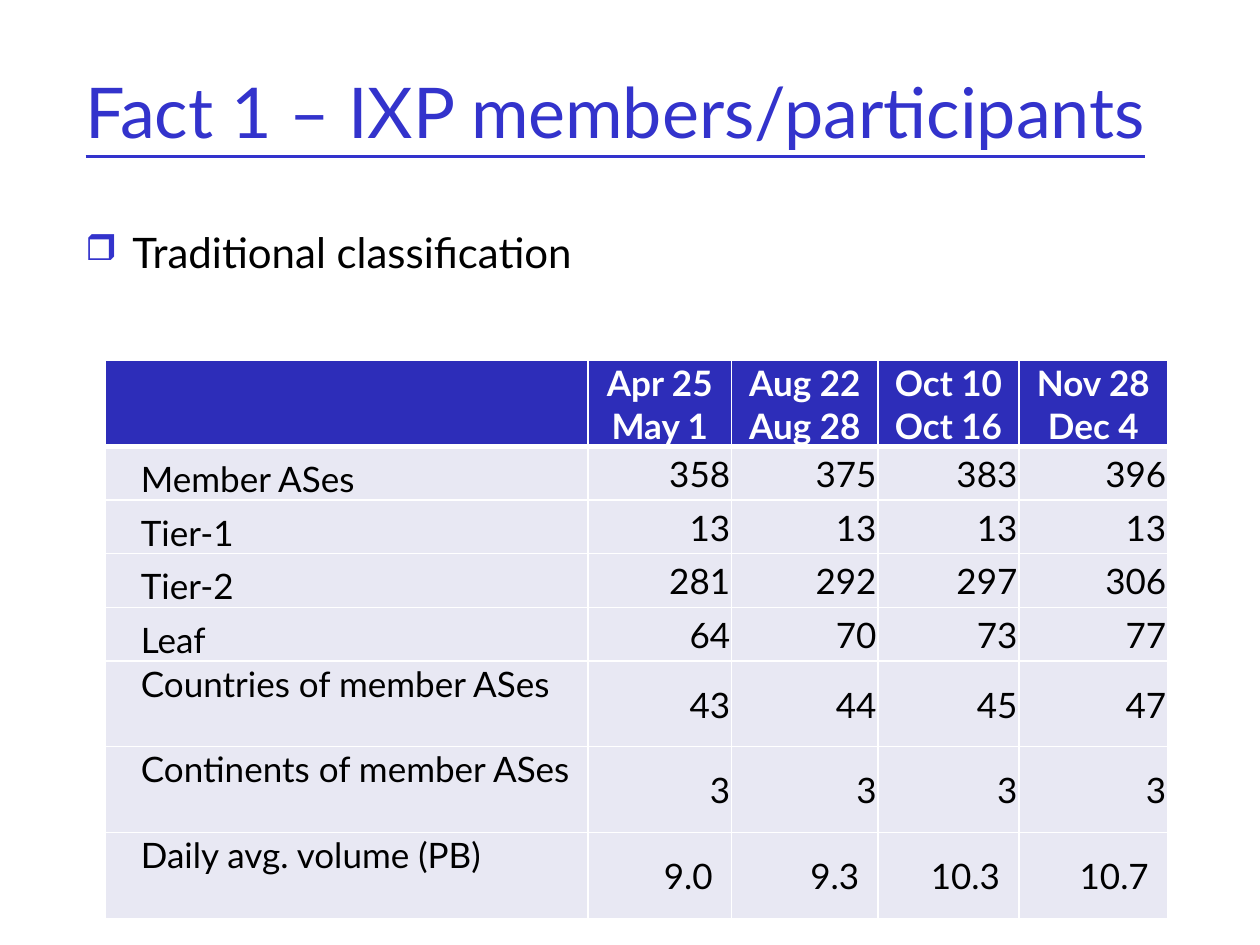
from dataclasses import dataclass

from lxml import etree
from pptx import Presentation
from pptx.dml.color import RGBColor
from pptx.enum.text import MSO_ANCHOR, PP_ALIGN
from pptx.oxml.ns import qn
from pptx.util import Cm, Pt

LEFT, CENTER, RIGHT = PP_ALIGN.LEFT, PP_ALIGN.CENTER, PP_ALIGN.RIGHT
TOP, MIDDLE, BOTTOM = MSO_ANCHOR.TOP, MSO_ANCHOR.MIDDLE, MSO_ANCHOR.BOTTOM


@dataclass(frozen=True)
class Theme:
    font: str = "Lato"
    accent: str = "3333CC"
    header: str = "2D2DB9"
    body: str = "E8E8F3"
    text: str = "000000"
    white: str = "FFFFFF"
    title_size: int = 40
    bullet_size: int = 24
    table_size: int = 20


THEME = Theme()
COLUMN_WIDTHS = (9.73, 2.9, 2.95, 2.84, 3.0)
HEADER_HEIGHT, SHORT_ROW, TALL_ROW = 1.72, 1.08, 1.73
CELL_INSET, LABEL_INSET, VOLUME_INSET = 0.03, 0.72, 0.38
PERIODS = ("", "Apr 25\nMay 1", "Aug 22\nAug 28", "Oct 10\nOct 16", "Nov 28\nDec 4")
SHORT_ROWS = (
    ("Member ASes", "358", "375", "383", "396"),
    ("Tier-1", "13", "13", "13", "13"),
    ("Tier-2", "281", "292", "297", "306"),
    ("Leaf", "64", "70", "73", "77"),
)
TALL_ROWS = (
    ("Countries of member ASes", "43", "44", "45", "47"),
    ("Continents of member ASes", "3", "3", "3", "3"),
    ("Daily avg. volume (PB)", "9.0", "9.3", "10.3", "10.7"),
)


def style_text(frame, size, color, align=LEFT, bold=False, underline=False):
    for para in frame.paragraphs:
        para.alignment = align
        for span in para.runs:
            font = span.font
            font.name, font.size = THEME.font, Pt(size)
            font.bold, font.underline = bold, underline
            font.color.rgb = RGBColor.from_string(color)


def set_title(page, text):
    title = page.shapes.title
    title.left, title.top, title.width, title.height = Cm(1.47), Cm(0.64), Cm(23), Cm(3.17)
    frame = title.text_frame
    frame.text = text
    frame.vertical_anchor = MIDDLE
    style_text(frame, THEME.title_size, THEME.accent, underline=True)


def add_bullet(page, text):
    box = page.shapes.add_textbox(Cm(1.47), Cm(4.45), Cm(22.76), Cm(1.47))
    frame = box.text_frame
    frame.word_wrap = True
    frame.text = text
    properties = frame.paragraphs[0]._p.get_or_add_pPr()
    properties.set("marL", str(Cm(0.95)))
    properties.set("indent", str(-Cm(0.95)))
    color = etree.SubElement(properties, qn("a:buClr"))
    etree.SubElement(color, qn("a:srgbClr"), val=THEME.accent)
    etree.SubElement(properties, qn("a:buSzPct"), val="85000")
    etree.SubElement(properties, qn("a:buChar"), char="❒")
    style_text(frame, THEME.bullet_size, THEME.text)


def set_borders(cell, top, bottom):
    """Draw white cell borders; top and bottom widths are in points."""
    properties = cell._tc.get_or_add_tcPr()
    sides = (("lnL", 1), ("lnR", 1), ("lnT", top), ("lnB", bottom))
    for position, (side, width) in enumerate(sides):
        line = etree.Element(qn(f"a:{side}"), w=str(Pt(width)))
        fill = etree.SubElement(line, qn("a:solidFill"))
        etree.SubElement(fill, qn("a:srgbClr"), val=THEME.white)
        properties.insert(position, line)


def fill_cell(cell, text, fill, color, align, anchor, bold=False):
    cell.fill.solid()
    cell.fill.fore_color.rgb = RGBColor.from_string(fill)
    cell.margin_left = cell.margin_right = cell.margin_top = Cm(CELL_INSET)
    cell.margin_bottom = 0
    cell.vertical_anchor = anchor
    cell.text_frame.text = text
    style_text(cell.text_frame, THEME.table_size, color, align, bold)


def add_member_table(page):
    records = SHORT_ROWS + TALL_ROWS
    heights = [HEADER_HEIGHT] + [SHORT_ROW] * len(SHORT_ROWS) + [TALL_ROW] * len(TALL_ROWS)
    table = page.shapes.add_table(
        len(heights), len(COLUMN_WIDTHS), Cm(2.12), Cm(7.27),
        Cm(sum(COLUMN_WIDTHS)), Cm(sum(heights)),
    ).table
    for column, width in zip(table.columns, COLUMN_WIDTHS):
        column.width = Cm(width)
    for row, height in zip(table.rows, heights):
        row.height = Cm(height)

    for cell, period in zip(table.rows[0].cells, PERIODS):
        fill_cell(cell, period, THEME.header, THEME.white, CENTER, BOTTOM, bold=True)
        set_borders(cell, 1, 3)
    for number, record in enumerate(records, start=1):
        label, *values = table.rows[number].cells
        anchor = BOTTOM if number <= len(SHORT_ROWS) else TOP
        fill_cell(label, record[0], THEME.body, THEME.text, LEFT, anchor)
        label.margin_left = Cm(LABEL_INSET)
        for cell, value in zip(values, record[1:]):
            fill_cell(cell, value, THEME.body, THEME.text, RIGHT, MIDDLE)
            if number == len(records):
                cell.margin_right = Cm(VOLUME_INSET)
        for cell in (label, *values):
            set_borders(cell, 3 if number == 1 else 1, 1)


def main():
    deck = Presentation()
    deck.slide_width, deck.slide_height = Cm(25.4), Cm(19.05)
    page = deck.slides.add_slide(deck.slide_layouts[5])
    set_title(page, "Fact 1 – IXP members/participants")
    add_member_table(page)
    add_bullet(page, "Traditional classification")
    deck.save("out.pptx")


if __name__ == "__main__":
    main()
